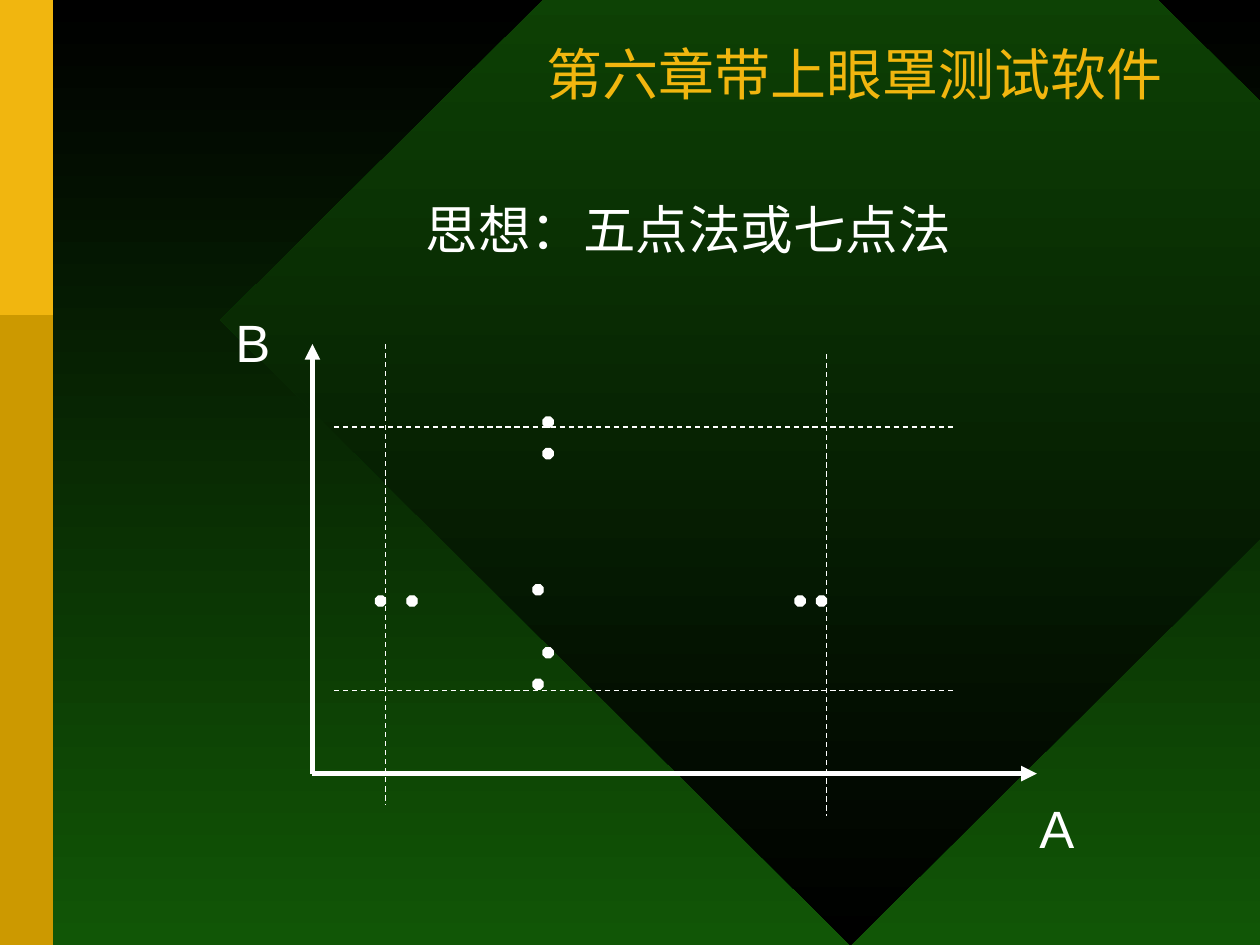
import pptx
import pptx.dml.color
import pptx.enum.dml
import pptx.enum.shapes
import pptx.enum.text
import pptx.oxml.ns
import pptx.oxml.xmlchemy
import pptx.util

Inches = pptx.util.Inches
Pt = pptx.util.Pt
SHAPE = pptx.enum.shapes.MSO_SHAPE
ALIGN = pptx.enum.text.PP_ALIGN
ANCHOR = pptx.enum.text.MSO_ANCHOR


class Theme:
    black = "000000"
    green = "115606"
    gold = "F1B60F"
    dark_gold = "CC9900"
    white = "FFFFFF"
    latin = "Arial"
    cjk = "Noto Sans CJK SC"
    title_size = 32
    body_size = 30
    axis_width = 3
    thin_width = 0.75


def rgb(value):
    return pptx.dml.color.RGBColor.from_string(value)


def add_xml(parent, tag, **attributes):
    el = parent.makeelement(pptx.oxml.ns.qn(tag), attributes)
    parent.append(el)


class SlideBuilder:
    def __init__(self, slide, theme):
        self.s = slide
        self.theme = theme

    def gradient(self, fill, top, bottom):
        fill.gradient()
        fill.gradient_angle = 270
        for stop, color, position in zip(fill.gradient_stops, (top, bottom), (0, 1)):
            stop.color.rgb = rgb(color)
            stop.position = position

    def background(self, top, bottom):
        self.gradient(self.s.background.fill, top, bottom)

    def shape(self, kind, x, y, w, h, color=None, outline=None):
        sp = self.s.shapes.add_shape(kind, Inches(x), Inches(y), Inches(w), Inches(h))
        sp.shadow.inherit = False
        if color:
            sp.fill.solid()
            sp.fill.fore_color.rgb = rgb(color)
        if outline:
            sp.line.color.rgb = rgb(outline)
            sp.line.width = Pt(self.theme.thin_width)
        else:
            sp.line.fill.background()
        return sp

    def diamond(self, x, y, w, h, top, bottom):
        sp = self.shape(SHAPE.DIAMOND, x, y, w, h)
        self.gradient(sp.fill, top, bottom)

    def point(self, x, y, size=0.08):
        sp = self.shape(SHAPE.OCTAGON, x, y, size, size, self.theme.white, self.theme.white)
        sp.adjustments[0] = 0.29

    def line(self, x1, y1, x2, y2, width):
        cn = self.s.shapes.add_connector(
            pptx.enum.shapes.MSO_CONNECTOR.STRAIGHT,
            Inches(x1), Inches(y1), Inches(x2), Inches(y2))
        cn.line.color.rgb = rgb(self.theme.white)
        cn.line.width = Pt(width)
        add_xml(cn._element.spPr, "a:effectLst")
        return cn

    def axis(self, x1, y1, x2, y2):
        cn = self.line(x1, y1, x2, y2, self.theme.axis_width)
        add_xml(cn.line._get_or_add_ln(), "a:tailEnd", type="triangle")

    def boundary(self, x1, y1, x2, y2):
        cn = self.line(x1, y1, x2, y2, self.theme.thin_width)
        cn.line.dash_style = pptx.enum.dml.MSO_LINE.DASH

    def text(self, words, x, y, w, h, size, color, font, align=ALIGN.LEFT,
             anchor=ANCHOR.TOP, spacing=1.0, indent=0):
        tf = self.s.shapes.add_textbox(Inches(x), Inches(y), Inches(w), Inches(h)).text_frame
        tf.word_wrap = True
        tf.vertical_anchor = anchor
        p = tf.paragraphs[0]
        p.alignment = align
        p.line_spacing = spacing
        if indent:
            p._p.get_or_add_pPr().set("marL", str(Inches(indent)))
        r = p.add_run()
        r.text = words
        r.font.name = font
        r.font.size = Pt(size)
        r.font.color.rgb = rgb(color)
        add_xml(r._r.get_or_add_rPr(), "a:ea", typeface=self.theme.cjk)


def main():
    prs = pptx.Presentation()
    prs.slide_width, prs.slide_height = Inches(10), Inches(7.5)
    t = Theme()
    b = SlideBuilder(prs.slides.add_slide(prs.slide_layouts[6]), t)

    b.background(t.black, t.green)
    b.diamond(1.75, -2.42, 10, 9.92, t.green, t.black)
    b.shape(SHAPE.RECTANGLE, 0, 0, 0.42, 7.5, t.dark_gold)
    b.shape(SHAPE.RECTANGLE, 0, 0, 0.42, 2.5, t.gold)

    b.text("第六章带上眼罩测试软件", 1.08, 0, 8.25, 1.25, t.title_size, t.gold, t.cjk,
           ALIGN.RIGHT, ANCHOR.MIDDLE, 0.85)
    b.text("思想：五点法或七点法", 0.92, 1.55, 9.08, 0.58, t.body_size, t.white, t.latin,
           spacing=0.95, indent=2.36)

    origin_x, origin_y = 2.48, 6.14
    b.axis(origin_x, origin_y, 8.23, origin_y)
    b.axis(origin_x, origin_y, origin_x, 2.73)

    for x, top, bottom in ((3.06, 2.73, 6.39), (6.56, 2.81, 6.48)):
        b.boundary(x, top, x, bottom)
    for y in (3.39, 5.48):
        b.boundary(2.65, y, 7.56, y)

    for x, y in ((4.31, 3.31), (4.31, 3.56), (4.23, 4.64), (4.31, 5.14), (4.23, 5.39)):
        b.point(x, y)
    for x in (2.98, 3.23, 6.31, 6.48):
        b.point(x, 4.73)

    for name, x, y in (("A", 8.15, 6.27), ("B", 1.77, 2.41)):
        b.text(name, x, y, 0.71, 0.6, t.body_size, t.white, t.latin)

    prs.save("out.pptx")


if __name__ == "__main__":
    main()
